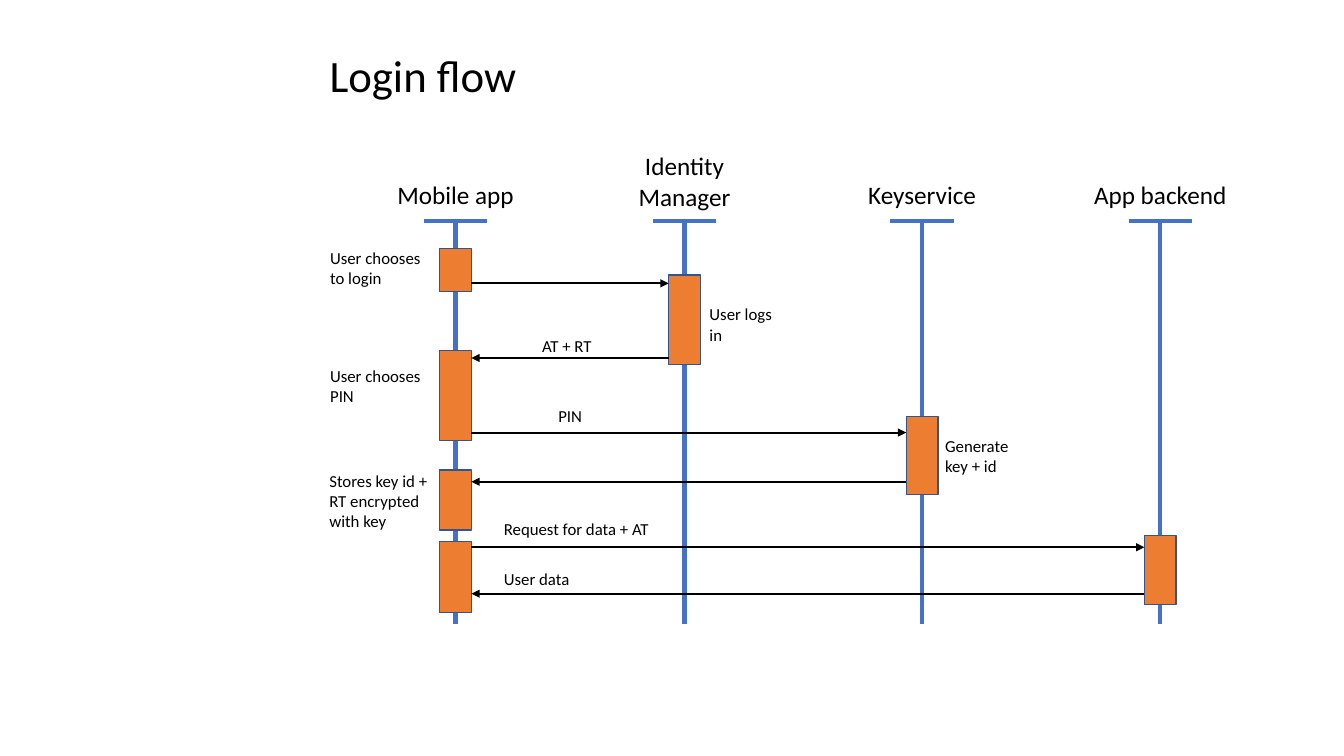
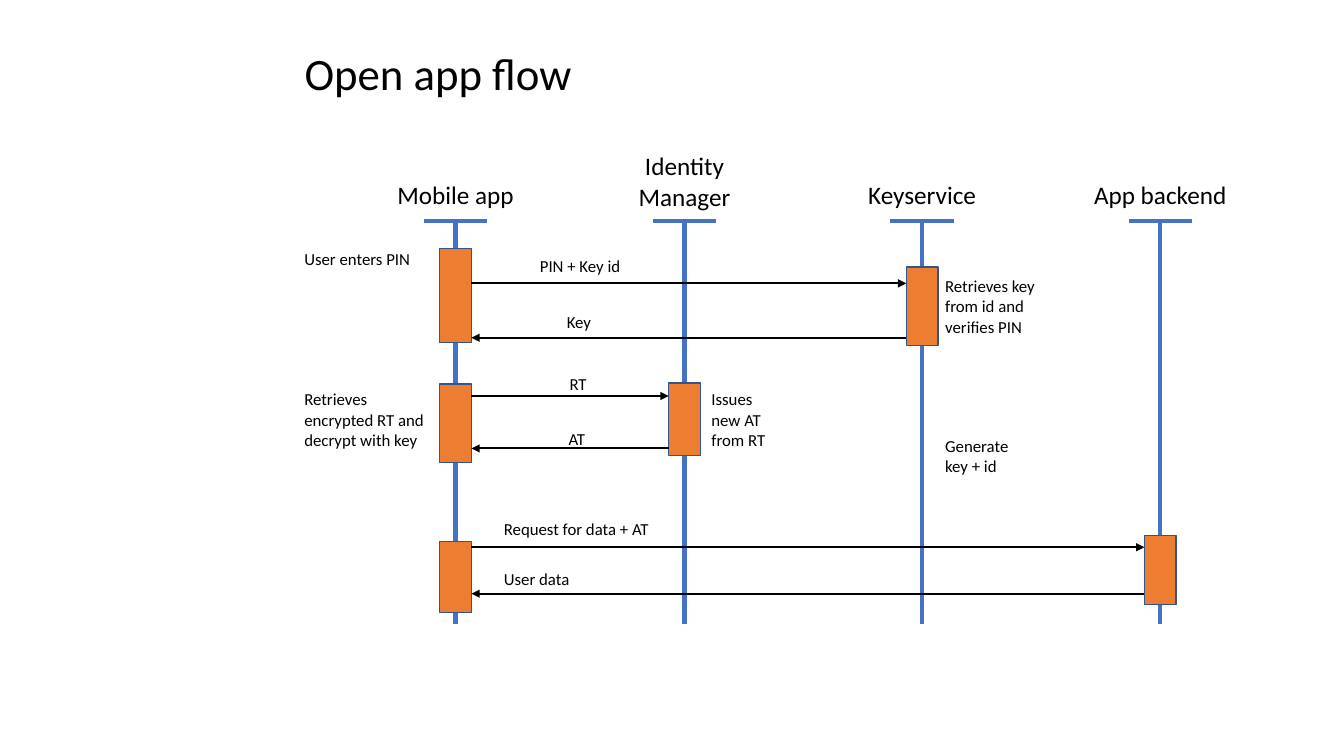
import pptx
import pptx.util
import pptx.dml.color
import pptx.enum.shapes
import pptx.enum.text
import pptx.oxml
import pptx.oxml.ns
from dataclasses import dataclass

Cm, Pt = pptx.util.Cm, pptx.util.Pt
ALIGN = pptx.enum.text.PP_ALIGN
ANCHOR = pptx.enum.text.MSO_ANCHOR
FIT = pptx.enum.text.MSO_AUTO_SIZE


# Theme: colours, type and line widths
@dataclass(frozen=True)
class Theme:
    font: str = "Calibri"
    text: str = "000000"
    lane: str = "4472C4"
    bar: str = "ED7D31"
    bar_edge: str = "325491"
    title_size: int = 32
    heading_size: int = 18
    note_size: int = 12
    lane_width: float = 3
    arrow_width: float = 1.5
    edge_width: float = 1


# Geometry in centimetres
MOBILE, IDENTITY, KEYS, BACKEND = 11.48, 17.25, 23.24, 29.24
LANES = {MOBILE: ("Mobile app", 1), IDENTITY: ("Identity Manager", 2),
         KEYS: ("Keyservice", 1), BACKEND: ("App backend", 1)}
LANE_TOP, LANE_BOTTOM, HEADING_BOTTOM = 5.56, 15.72, 5.36
HEADING_WIDTH, CAP_HALF, BAR_HALF = 4.14, 0.8, 0.4
LINE_CM_PER_PT, INSETS = 0.04, 0.25


def rgb(value):
    return pptx.dml.color.RGBColor.from_string(value)


def apply(target, values):
    for key, value in values.items():
        setattr(target, key, value)


class FlowDeck:
    """A deck of sequence diagrams sharing one style."""

    def __init__(self, theme):
        self.theme = theme
        self.deck = pptx.Presentation()
        apply(self.deck, {"slide_width": Cm(33.87), "slide_height": Cm(19.05)})
        self.slide = None

    def start(self, title, left, top):
        self.slide = self.deck.slides.add_slide(self.deck.slide_layouts[5])
        heading = self.slide.shapes.title
        apply(heading, {"left": Cm(left), "top": Cm(top),
                        "width": Cm(7.5), "height": Cm(1.63)})
        self.set_text(heading, title, self.theme.title_size, ALIGN.LEFT, FIT.NONE)

    def set_text(self, shape, text, size, align, fit):
        frame = shape.text_frame
        apply(frame, {"text": text, "word_wrap": True, "auto_size": fit,
                      "vertical_anchor": ANCHOR.TOP})
        paragraph = frame.paragraphs[0]
        paragraph.alignment = align
        apply(paragraph.font, {"name": self.theme.font, "size": Pt(size)})
        paragraph.font.color.rgb = rgb(self.theme.text)

    def height(self, size, lines):
        return lines * size * LINE_CM_PER_PT + INSETS

    def note(self, text, left, top, width, lines=1, align=ALIGN.LEFT, size=None):
        size = size or self.theme.note_size
        box = self.slide.shapes.add_textbox(
            Cm(left), Cm(top), Cm(width), Cm(self.height(size, lines)))
        self.set_text(box, text, size, align, FIT.SHAPE_TO_FIT_TEXT)

    def line(self, start, end, color, width, arrow=False):
        connector = self.slide.shapes.add_connector(
            pptx.enum.shapes.MSO_CONNECTOR.STRAIGHT, *map(Cm, start + end))
        connector.line.color.rgb = rgb(color)
        connector.line.width = Pt(width)
        properties = connector.element.spPr
        namespace = pptx.oxml.ns.nsdecls("a")
        if arrow:
            properties.find(pptx.oxml.ns.qn("a:ln")).append(
                pptx.oxml.parse_xml(f'<a:tailEnd {namespace} type="triangle"/>'))
        properties.append(pptx.oxml.parse_xml(f"<a:effectLst {namespace}/>"))

    def lane(self, x, name, lines):
        theme = self.theme
        self.line((x, LANE_TOP), (x, LANE_BOTTOM), theme.lane, theme.lane_width)
        self.line((x - CAP_HALF, LANE_TOP), (x + CAP_HALF, LANE_TOP),
                  theme.lane, theme.lane_width)
        top = HEADING_BOTTOM - self.height(theme.heading_size, lines)
        self.note(name, x - HEADING_WIDTH / 2, top, HEADING_WIDTH, lines,
                  ALIGN.CENTER, theme.heading_size)

    def activation(self, x, top, height):
        bar = self.slide.shapes.add_shape(
            pptx.enum.shapes.MSO_SHAPE.RECTANGLE,
            Cm(x - BAR_HALF), Cm(top), Cm(2 * BAR_HALF), Cm(height))
        bar.shadow.inherit = False
        bar.fill.solid()
        bar.fill.fore_color.rgb = rgb(self.theme.bar)
        bar.line.color.rgb = rgb(self.theme.bar_edge)
        bar.line.width = Pt(self.theme.edge_width)

    def message(self, sender, receiver, y):
        side = BAR_HALF if receiver > sender else -BAR_HALF
        self.line((sender + side, y), (receiver - side, y),
                  self.theme.text, self.theme.arrow_width, arrow=True)

    def flow(self, title, activations, messages, notes):
        self.start(*title)
        for x, heading in LANES.items():
            self.lane(x, *heading)
        for activation in activations:
            self.activation(*activation)
        for message in messages:
            self.message(*message)
        for note in notes:
            self.note(*note)


# Steps found in both flows: the data request and the key note
DATA_BARS = [(BACKEND, 13.49, 1.75), (MOBILE, 13.64, 1.8)]
DATA_MESSAGES = [(MOBILE, BACKEND, 13.79), (BACKEND, MOBILE, 14.96)]
SHARED_NOTES = [("Request for data + AT", 12.45, 12.95, 5.36),
                ("User data", 12.45, 14.2, 5.36),
                ("Generate key + id", 23.57, 10.85, 2.26, 2)]

flows = FlowDeck(Theme())

# Login flow
flows.flow(
    ("Login flow", 8.05, 1.07),
    [(MOBILE, 6.27, 1.07), (IDENTITY, 6.93, 2.26), (MOBILE, 8.84, 2.26),
     (KEYS, 10.49, 1.98), (MOBILE, 11.84, 1.52)] + DATA_BARS,
    [(MOBILE, IDENTITY, 7.14), (IDENTITY, MOBILE, 9.02),
     (MOBILE, KEYS, 10.9), (KEYS, MOBILE, 12.14)] + DATA_MESSAGES,
    [("User chooses to login", 8.07, 6.12, 3.1, 2),
     ("User logs in", 17.63, 7.54, 2.26, 2),
     ("AT + RT", 13.41, 8.33, 1.96),
     ("User chooses PIN", 8.07, 9.09, 3.1, 2),
     ("PIN", 13.39, 10.11, 1.96, 1, ALIGN.CENTER),
     ("Stores key id + RT encrypted with key", 8.05, 11.73, 3.1, 3)]
    + SHARED_NOTES)

# Open app flow
flows.flow(
    ("Open app flow", 7.42, 1.02),
    [(MOBILE, 6.27, 2.36), (KEYS, 6.73, 1.98), (IDENTITY, 9.65, 1.83),
     (MOBILE, 9.68, 1.98)] + DATA_BARS,
    [(MOBILE, KEYS, 7.14), (KEYS, MOBILE, 8.51),
     (MOBILE, IDENTITY, 9.98), (IDENTITY, MOBILE, 11.3)] + DATA_MESSAGES,
    [("User enters PIN", 7.42, 6.15, 3.76),
     ("PIN + Key id", 13.21, 6.32, 2.82, 1, ALIGN.CENTER),
     ("Key", 13.18, 7.72, 2.82, 1, ALIGN.CENTER),
     ("Retrieves key from id and verifies PIN", 23.57, 6.83, 3, 3),
     ("RT", 13.59, 9.3, 1.96, 1, ALIGN.CENTER),
     ("AT", 13.56, 10.69, 1.96, 1, ALIGN.CENTER),
     ("Retrieves encrypted RT and decrypt with key", 7.42, 9.68, 3.73, 3),
     ("Issues new AT from RT", 17.68, 9.68, 2.26, 3)]
    + SHARED_NOTES)

flows.deck.save("out.pptx")
